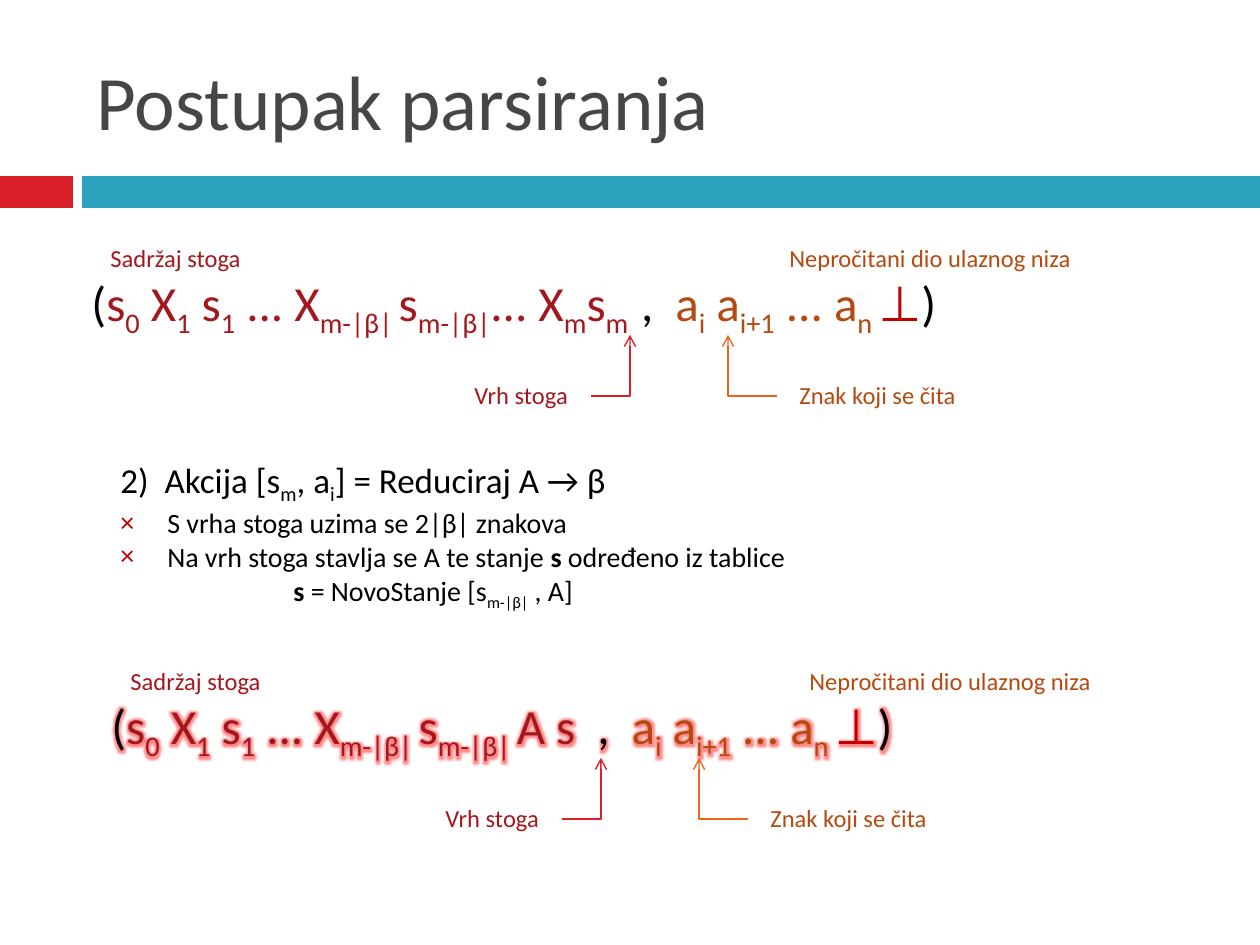
from lxml.etree import SubElement
from pptx import Presentation
from pptx.dml.color import RGBColor
from pptx.enum.shapes import MSO_CONNECTOR as Connector, MSO_SHAPE as Shape
from pptx.enum.text import MSO_ANCHOR as Anchor
from pptx.oxml import parse_xml
from pptx.oxml.ns import nsdecls, qn
from pptx.util import Emu, Pt

EMU_PER_PX = 914400 / 126
RED = RGBColor(0xDA, 0x1F, 0x28)
TEAL = RGBColor(0x2D, 0xA2, 0xBF)
ORANGE = RGBColor(0xEB, 0x64, 0x1B)
GRAY = RGBColor(0x46, 0x46, 0x46)
BLACK = RGBColor(0, 0, 0)
STACK = RGBColor(0xA3, 0x17, 0x1E)
INPUT = RGBColor(0xB5, 0x4A, 0x10)
MARK = RGBColor(0xC0, 0, 0)
GLOW = RGBColor(0xFF, 0x3B, 0x3B)
FONT = "Calibri"
STACK_BASE = "s~0~ X~1~ s~1~ ... X~m-|β| ~s~m-|β|"


def px(value):
    """Turn pixels into EMU."""
    return Emu(round(value * EMU_PER_PX))


def add_glow(run):
    """Put a soft red glow around the letters of a run."""
    effects = parse_xml(
        f'<a:effectLst {nsdecls("a")}><a:glow rad="101600"><a:srgbClr val="{GLOW}">'
        '<a:alpha val="60000"/></a:srgbClr></a:glow></a:effectLst>')
    run.font._element.find(qn("a:solidFill")).addnext(effects)


def add_runs(paragraph, text, size, color, bold=False, glow=False):
    """Add runs, where text between tildes is subscript."""
    for index, part in enumerate(text.split("~")):
        if not part:
            continue
        run = paragraph.add_run()
        run.text = part
        run.font.size = Pt(size)
        run.font.name = FONT
        run.font.bold = bold
        run.font.color.rgb = color
        if index % 2:
            run.font._element.set("baseline", "-25000")
        if glow:
            add_glow(run)


def add_box(shapes, left, top, width, height):
    """Add an empty wrapping text box and return its text frame."""
    frame = shapes.add_textbox(px(left), px(top), px(width), px(height)).text_frame
    frame.word_wrap = True
    return frame


def add_label(shapes, text, color, left, top, width):
    """Add a small one-line label."""
    frame = add_box(shapes, left, top, width, 43)
    add_runs(frame.paragraphs[0], text, 14, color)


def add_bar(slide, left, width, color):
    """Add one part of the band under the title."""
    bar = slide.shapes.add_shape(Shape.RECTANGLE, px(left), px(176), px(width), px(32))
    bar.shadow.inherit = False
    bar.fill.solid()
    bar.fill.fore_color.rgb = color
    bar.line.fill.background()


def add_pointer(shapes, begin_x, end_x, top, color):
    """Add an elbow arrow that runs sideways and then up."""
    pointer = shapes.add_connector(
        Connector.ELBOW, px(begin_x), px(top + 61), px(end_x), px(top))
    pointer.line.color.rgb = color
    pointer.line.width = Pt(0.79)
    properties = pointer._element.spPr
    properties.find(qn("a:prstGeom")).set("prst", "bentConnector2")
    SubElement(pointer.line._get_or_add_ln(), qn("a:tailEnd"), type="arrow")
    SubElement(properties, qn("a:effectLst"))
    if begin_x > end_x:
        transform = properties.find(qn("a:xfrm"))
        for flip in ("flipH", "flipV"):
            transform.attrib.pop(flip, None)
        transform.set("rot", "10800000")


def add_configuration(slide, stack_end, left, top, shift, glow=False):
    """Add a parser configuration with its labels and pointers."""
    shapes = slide.shapes.add_group_shape().shapes
    formula = add_box(shapes, left + 79, top + 266, 1014, 72).paragraphs[0]
    for text, color in (("(", BLACK), (STACK_BASE + stack_end, STACK), (",  ", BLACK),
                        ("a~i~ a~i+1~ ... a~n ~", INPUT), ("⊥", MARK), (")", BLACK)):
        add_runs(formula, text, 28, color, glow=glow)
    add_label(shapes, "Sadržaj stoga", STACK, left + 98, top + 237, 197)
    add_label(shapes, "Nepročitani dio ulaznog niza", INPUT, left + 777, top + 237, 344)
    add_label(shapes, "Vrh stoga", STACK, shift + 462, top + 374, 137)
    add_pointer(shapes, shift + 591, shift + 630, top + 335, RED)
    add_label(shapes, "Znak koji se čita", INPUT, shift + 787, top + 374, 217)
    add_pointer(shapes, shift + 777, shift + 728, top + 335, ORANGE)


def set_indent(paragraph, margin, indent, bullet=False):
    """Set the margin and first-line indent, with a red cross if asked."""
    properties = paragraph._p.get_or_add_pPr()
    properties.set("marL", str(px(margin)))
    properties.set("indent", str(px(indent)))
    if bullet:
        color = SubElement(properties, qn("a:buClr"))
        SubElement(color, qn("a:srgbClr"), val=str(MARK))
        SubElement(properties, qn("a:buFont"), typeface=FONT)
        SubElement(properties, qn("a:buChar"), char="×")
    else:
        SubElement(properties, qn("a:buNone"))


def add_step(slide):
    """Add the description of the reduce action."""
    frame = add_box(slide.shapes, 108, 452, 984, 224)
    lines = (
        (20, 47, -47, False, [("2)  Akcija [s~m~, a~i~] = Reduciraj A → β", False)]),
        (16, 47, -47, True, [("S vrha stoga uzima se 2|β| znakova", False)]),
        (16, 47, -47, True, [("Na vrh stoga stavlja se A te stanje ", False),
                             ("s", True), (" određeno iz tablice", False)]),
        (16, 173, 0, False, [("s", True), (" = NovoStanje [s~m-|β|~ , A]", False)]),
    )
    for index, (size, margin, indent, bullet, runs) in enumerate(lines):
        paragraph = frame.add_paragraph() if index else frame.paragraphs[0]
        set_indent(paragraph, margin, indent, bullet)
        for text, bold in runs:
            add_runs(paragraph, text, size, BLACK, bold)


def main():
    """Build the slide and save it."""
    presentation = Presentation()
    presentation.slide_width, presentation.slide_height = px(1260), px(945)
    slide = presentation.slides.add_slide(presentation.slide_layouts[6])
    add_bar(slide, 0, 73, RED)
    add_bar(slide, 82, 1178, TEAL)
    title = add_box(slide.shapes, 84, 32, 1124, 136)
    title.vertical_anchor = Anchor.MIDDLE
    add_runs(title.paragraphs[0], "Postupak parsiranja", 44, GRAY)
    add_configuration(slide, "~... X~m~s~m  ~", 0, 0, 0)
    add_configuration(slide, " ~A s  ", 20, 423, -29, glow=True)
    add_step(slide)
    presentation.save("out.pptx")


if __name__ == "__main__":
    main()
